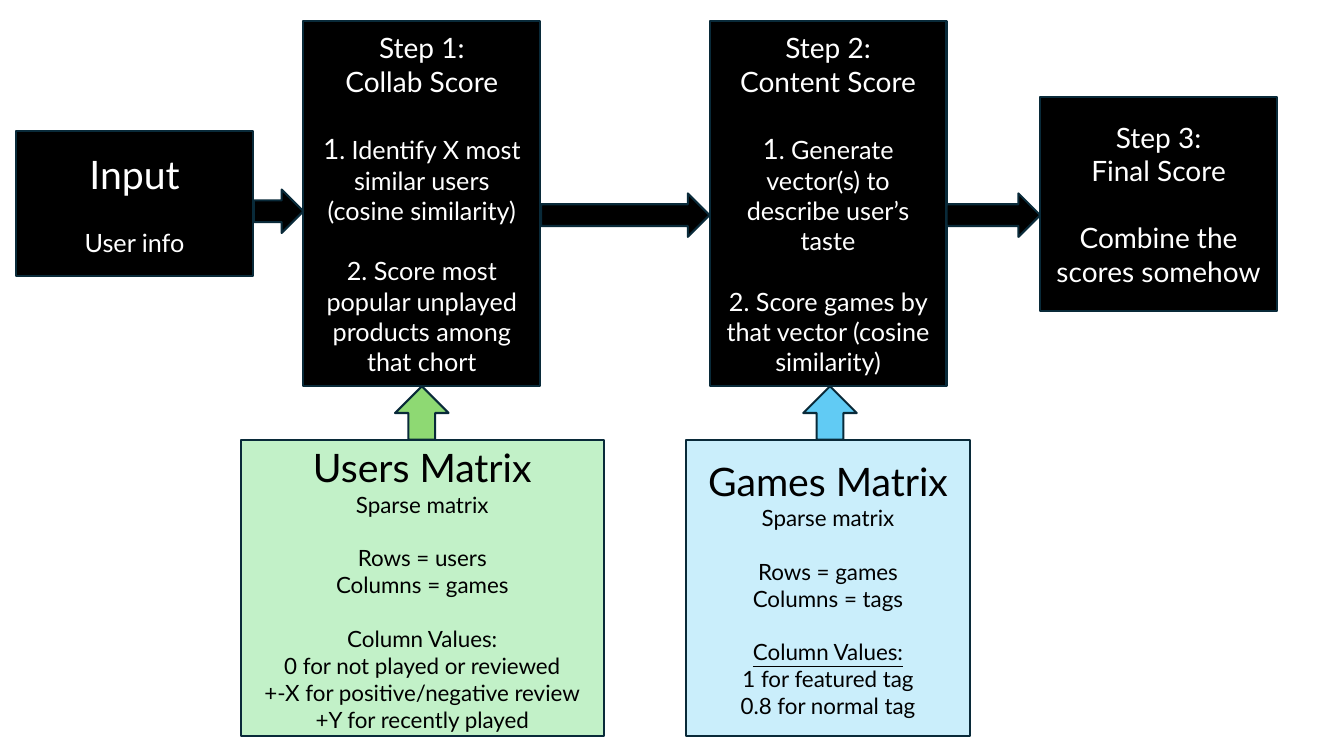
from dataclasses import dataclass

from pptx import Presentation
from pptx.dml.color import RGBColor
from pptx.enum.shapes import MSO_SHAPE
from pptx.enum.text import MSO_ANCHOR, PP_ALIGN
from pptx.shapes.autoshape import Shape
from pptx.slide import Slide
from pptx.util import Pt

COLORS = {
    "black": "000000",
    "white": "FFFFFF",
    "outline": "092A39",
    "pale_green": "C2F1C8",
    "green": "8ED973",
    "pale_blue": "CAEEFB",
    "blue": "61CBF4",
}
FONT = "Lato"
LINE_HEIGHT = 1.2
STEP_W = 169.2
STEP_TOP, STEP_H = 15.1, 260.6
MATRIX_TOP, MATRIX_H = 314.6, 211
FLOW_H = 31
FEED_SIZE = 38.2


@dataclass
class Line:
    text: str
    size: float
    gap: bool = False
    underline: bool = False
    tail: str = ""
    tail_size: float = 18


@dataclass
class Box:
    left: float
    top: float
    width: float
    height: float
    fill: str
    color: str
    lines: list[Line]


@dataclass
class Arrow:
    left: float
    top: float
    width: float
    height: float
    fill: str
    rotation: float = 0


def add_outlined(s: Slide, kind: MSO_SHAPE, item: Box | Arrow) -> Shape:
    sp = s.shapes.add_shape(
        kind, Pt(item.left), Pt(item.top), Pt(item.width), Pt(item.height)
    )
    sp.shadow.inherit = False
    sp.fill.solid()
    sp.fill.fore_color.rgb = RGBColor.from_string(COLORS[item.fill])
    sp.line.color.rgb = RGBColor.from_string(COLORS["outline"])
    sp.line.width = Pt(1.5)
    return sp


def add_box(s: Slide, box: Box) -> None:
    tf = add_outlined(s, MSO_SHAPE.RECTANGLE, box).text_frame
    tf.word_wrap = True
    tf.vertical_anchor = MSO_ANCHOR.MIDDLE
    tf.text = "\n".join(line.text for line in box.lines)
    for p, line in zip(tf.paragraphs, box.lines):
        p.alignment = PP_ALIGN.CENTER
        if line.gap:
            p.space_before = Pt(line.size * LINE_HEIGHT)
        if line.tail:
            p.add_run().text = line.tail
        for r, size in zip(p.runs, (line.size, line.tail_size)):
            r.font.name = FONT
            r.font.size = Pt(size)
            r.font.color.rgb = RGBColor.from_string(COLORS[box.color])
            if line.underline:
                r.font.underline = True


def add_arrow(s: Slide, arrow: Arrow) -> None:
    sp = add_outlined(s, MSO_SHAPE.RIGHT_ARROW, arrow)
    sp.rotation = arrow.rotation


def matrix_box(
    left: float, width: float, fill: str, title: str,
    rows: str, columns: str, values: list[str], underline: bool,
) -> Box:
    lines = [
        Line(title, 28),
        Line("Sparse matrix", 16),
        Line(f"Rows = {rows}", 16, gap=True),
        Line(f"Columns = {columns}", 16),
        Line("Column Values:", 16, gap=True, underline=underline),
        *(Line(value, 16) for value in values),
    ]
    return Box(left, MATRIX_TOP, width, MATRIX_H, fill, "black", lines)


def step_box(left: float, step: str, title: str, first: str, second: str) -> Box:
    lines = [
        Line(step, 20),
        Line(title, 20),
        Line("1", 20, gap=True, tail=first),
        Line(second, 18, gap=True),
    ]
    return Box(left, STEP_TOP, STEP_W, STEP_H, "black", "white", lines)


BOXES = [
    matrix_box(
        490.3, 202.3, "pale_blue", "Games Matrix", "games", "tags",
        ["1 for featured tag", "0.8 for normal tag"], True,
    ),
    matrix_box(
        172.1, 259.2, "pale_green", "Users Matrix", "users", "games",
        [
            "0 for not played or reviewed",
            "+-X for positive/negative review",
            "+Y for recently played",
        ],
        False,
    ),
    Box(
        11.5, 93.6, STEP_W, 103.7, "black", "white",
        [Line("Input", 28), Line("User info", 18, gap=True)],
    ),
    step_box(
        216.7, "Step 1:", "Collab Score",
        ". Identify X most similar users (cosine similarity)",
        "2. Score most popular unplayed products among that chort",
    ),
    step_box(
        506.9, "Step 2:", "Content Score",
        ". Generate vector(s) to describe user’s taste",
        "2. Score games by that vector (cosine similarity)",
    ),
    Box(
        743, 69.1, STEP_W, 153.4, "black", "white",
        [
            Line("Step 3:", 20),
            Line("Final Score", 20),
            Line("Combine the scores somehow", 20, gap=True),
        ],
    ),
]

ARROWS = [
    Arrow(181.4, 135.4, 35.3, FLOW_H, "black"),
    Arrow(386.6, 138.2, 120.3, FLOW_H, "black"),
    Arrow(676.1, 138.2, 66.9, FLOW_H, "black"),
    Arrow(282.2, 275.9, FEED_SIZE, FEED_SIZE, "green", 270),
    Arrow(573.8, 275.9, FEED_SIZE, FEED_SIZE, "blue", 270),
]


def main() -> None:
    prs = Presentation()
    prs.slide_width, prs.slide_height = Pt(960), Pt(540)
    s = prs.slides.add_slide(prs.slide_layouts[6])
    for box in BOXES:
        add_box(s, box)
    for arrow in ARROWS:
        add_arrow(s, arrow)
    prs.save("out.pptx")


if __name__ == "__main__":
    main()
